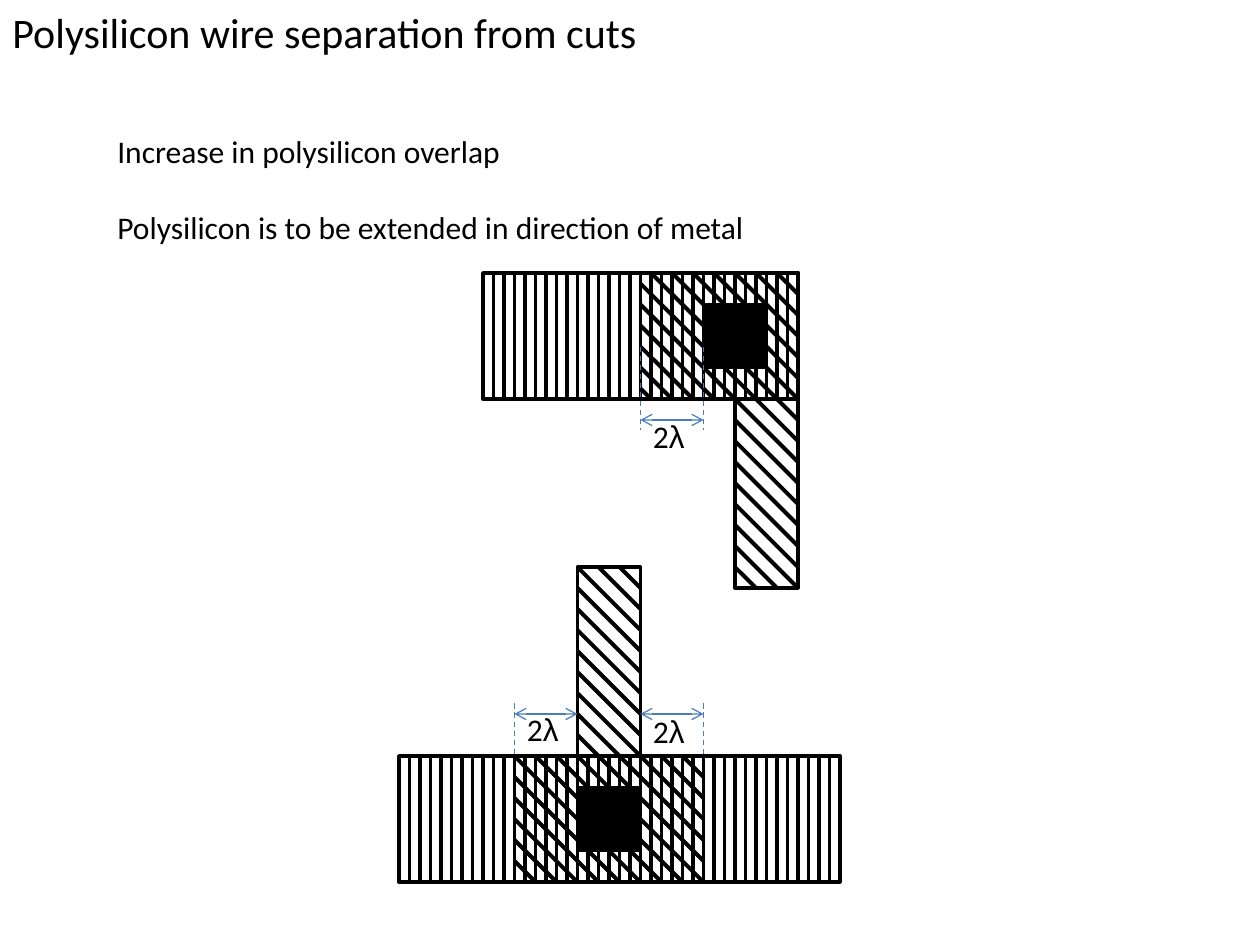
from dataclasses import dataclass

from lxml import etree
from pptx import Presentation, util as u
from pptx.dml.color import RGBColor
from pptx.enum import dml, shapes, text
from pptx.oxml.ns import qn


@dataclass(frozen=True)
class Theme:
    """Colours, fonts, type sizes and line widths."""
    ink: RGBColor = RGBColor(0x00, 0x00, 0x00)
    mark: RGBColor = RGBColor(0x4A, 0x7E, 0xBB)
    font: str = "Calibri"
    greek: str = "Arial"
    head: int = 24
    body: int = 18
    edge: float = 2
    hatch: float = 2.25
    thin: float = 0.75


THEME = Theme()
UNIT = 2.54 / 12
CUT = 6


def grid(n):
    """Turn grid units of a twelfth of an inch into a length."""
    return u.Cm(n * UNIT)


def add_line(parts, start, end, color=THEME.ink, width=THEME.hatch):
    """Draw a straight line between two grid points."""
    line = parts.add_connector(
        shapes.MSO_CONNECTOR.STRAIGHT, *[grid(n) for n in (*start, *end)])
    line.line.color.rgb = color
    line.line.width = u.Pt(width)
    etree.SubElement(line._element.spPr, qn("a:effectLst"))
    return line


def add_rect(parts, box, solid=False):
    """Draw a black outlined rectangle, filled if solid."""
    rect = parts.add_shape(
        shapes.MSO_SHAPE.RECTANGLE, *[grid(n) for n in box])
    rect.shadow.inherit = False
    if solid:
        rect.fill.solid()
        rect.fill.fore_color.rgb = THEME.ink
    else:
        rect.fill.background()
    rect.line.color.rgb = THEME.ink
    rect.line.width = u.Pt(THEME.edge)


def add_text(parts, box, paras, size, gap=0):
    """Write paragraphs of (words, font) runs, set apart by a gap."""
    frame = parts.add_textbox(*[grid(n) for n in box]).text_frame
    frame.word_wrap = True
    frame.auto_size = text.MSO_AUTO_SIZE.NONE
    for i, runs in enumerate(paras):
        para = frame.paragraphs[0] if i == 0 else frame.add_paragraph()
        if i:
            para.space_before = u.Pt(gap)
        for words, font in runs:
            run = para.add_run()
            run.text = words
            run.font.name = font
            run.font.size = u.Pt(size)
            run.font.color.rgb = THEME.ink


def add_metal(parts, box):
    """Draw a metal strip with upright bars one unit apart."""
    x, y, w, h = box
    group = parts.add_group_shape().shapes
    add_rect(group, box)
    for bar in range(x + 1, x + w):
        add_line(group, (bar, y), (bar, y + h))


def clip(shift, box):
    """Return the part of the diagonal y = x + shift inside a box."""
    x, y, w, h = box
    left, right = max(x, y - shift), min(x + w, y + h - shift)
    return [(left, left + shift), (right, right + shift)] if left < right else None


def add_poly(parts, outer, boxes):
    """Draw a polysilicon wire: an outline and diagonals through its boxes."""
    group = parts.add_group_shape().shapes
    add_rect(group, outer)
    first = min(y - x - w for x, y, w, h in boxes) + 2
    last = max(y + h - x for x, y, w, h in boxes)
    for shift in range(first, last, 2):
        pieces = []
        for piece in filter(None, (clip(shift, box) for box in boxes)):
            if pieces and pieces[-1][1] == piece[0]:
                pieces[-1][1] = piece[1]
            else:
                pieces.append(piece)
        for start, end in pieces:
            add_line(group, start, end)


def add_span(parts, box, drop):
    """Draw a two-way arrow on top of a box and its label below."""
    x, y, w, h = box
    arrow = add_line(parts, (x, y), (x + w, y), THEME.mark, THEME.thin)
    stroke = arrow.line._get_or_add_ln()
    for end in ("a:headEnd", "a:tailEnd"):
        etree.SubElement(stroke, qn(end), type="arrow")
    label = [("2", THEME.font), ("λ", THEME.greek)]
    add_text(parts, (x, y + drop, w, h), [label], THEME.body)


def add_guide(parts, x, top, end):
    """Draw an upright dashed guide."""
    guide = add_line(parts, (x, top), (x, end), THEME.mark, THEME.thin)
    guide.line.dash_style = dml.MSO_LINE.DASH


def add_upper(parts, box):
    """Draw the contact whose wire leaves downward at the metal's end."""
    x, y, w, h = box
    right, base = x + w, y + 12
    add_metal(parts, (x, y, w, 12))
    add_poly(parts, (right - 6, y, 6, h),
             [(right - 15, y, 15, 12), (right - 6, base, 6, h - 12)])
    add_rect(parts, (right - 9, y + 3, CUT, CUT), True)
    add_span(parts, (right - 15, base + 2, 6, 4.8), -0.9)
    for guide in (right - 15, right - 9):
        add_guide(parts, guide, base - 5, base + 3)


def add_lower(parts, box):
    """Draw the contact whose wire leaves upward from the metal's middle."""
    x, y, w, h = box
    top, leg = y + h - 12, x + 17
    add_poly(parts, (leg, y, 6, h),
             [(leg, y, 6, h - 12), (leg - 6, top, 18, 12)])
    add_rect(parts, (leg, top + 3, CUT, CUT), True)
    for left, guide, drop in ((leg - 6, leg - 6, -1), (leg + 6, leg + 12, -0.8)):
        add_span(parts, (left, top - 4, 6, 4.8), drop)
        add_guide(parts, guide, top - 5, top + 7)
    add_metal(parts, (x, top, w, 12))


def add_words(parts, box):
    """Write the heading and the two points below it."""
    x, y, w, h = box
    head = [("Polysilicon wire separation from cuts", THEME.font)]
    add_text(parts, (x, y, 70, 6), [head], THEME.head)
    points = ("Increase in polysilicon overlap",
              "Polysilicon is to be extended in direction of metal")
    add_text(parts, (x + 10, y + 12, w - 10, h - 12),
             [[(point, THEME.font)] for point in points], THEME.body, 22)


def main():
    """Build the slide and save it."""
    deck = Presentation()
    deck.slide_width, deck.slide_height = u.Cm(25.4), u.Cm(19.05)
    parts = deck.slides.add_slide(deck.slide_layouts[6]).shapes
    add_upper(parts, (46, 26, 30, 30))
    add_lower(parts, (38, 54, 42, 30))
    add_words(parts, (0, 0, 95, 24))
    deck.save("out.pptx")


if __name__ == "__main__":
    main()
